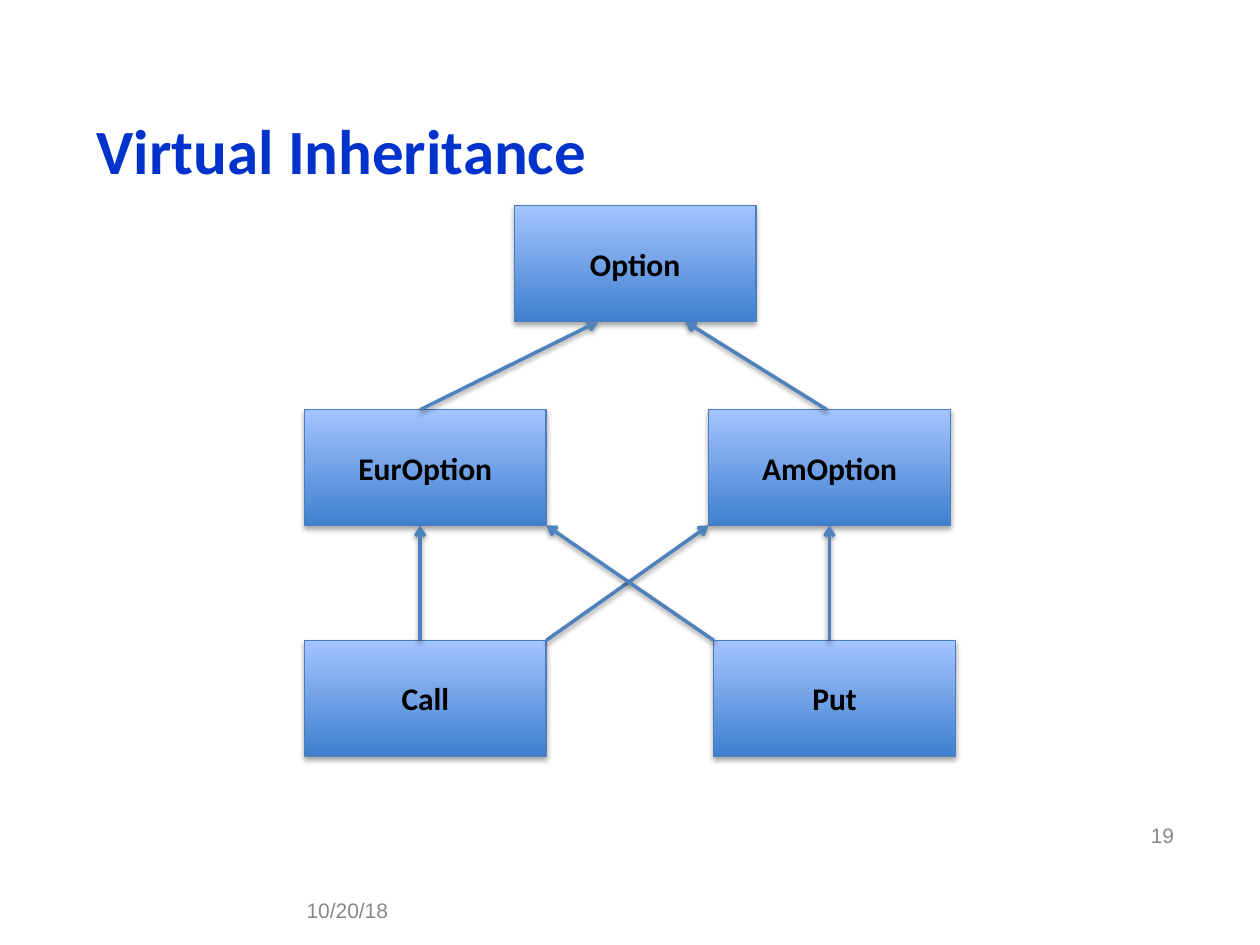
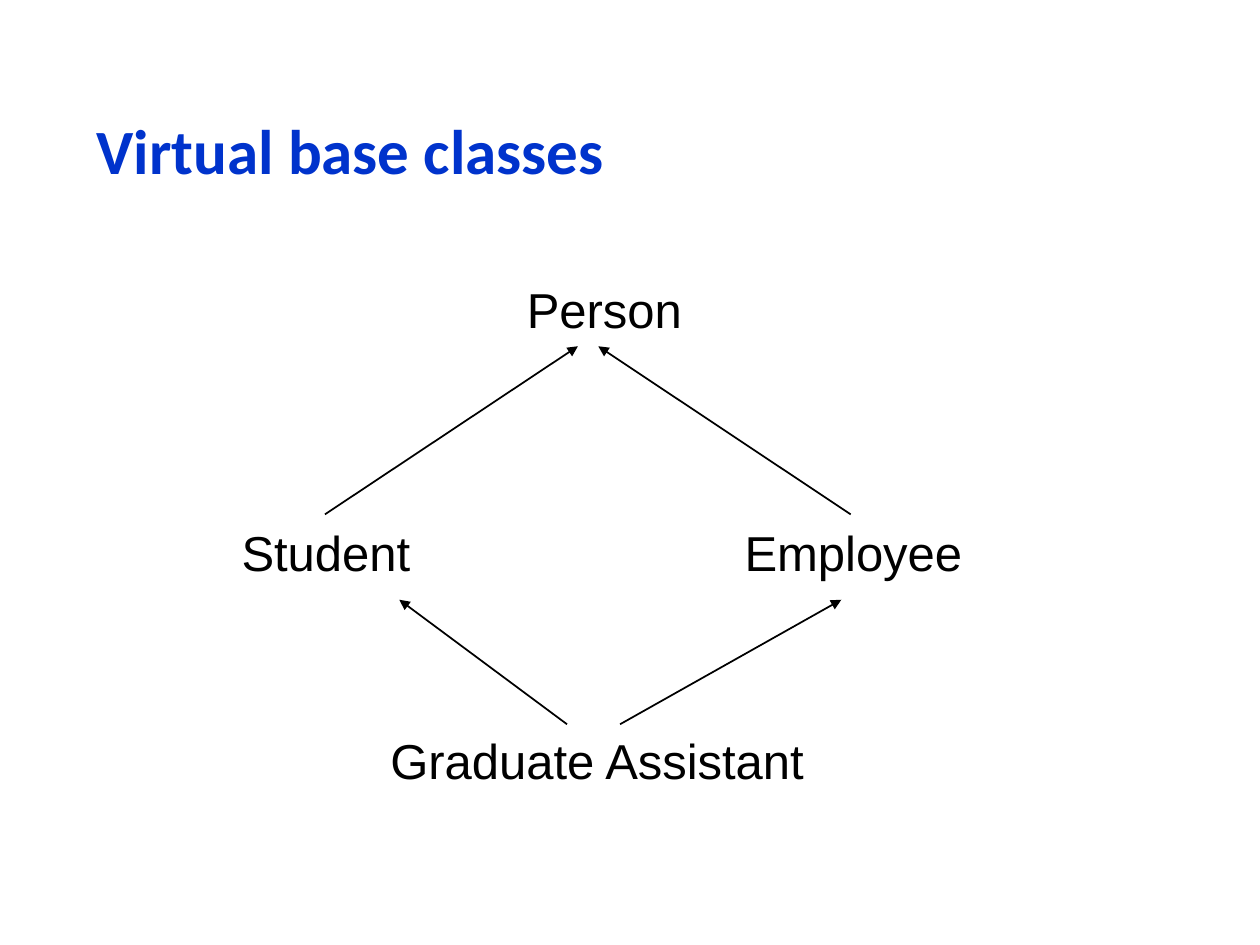
from lxml import etree
from pptx import Presentation
from pptx.dml.color import RGBColor
from pptx.enum import shapes, text
from pptx.oxml.ns import qn
from pptx.util import Cm, Pt

# Shared look
TITLE_BLUE, BLACK, GREY = "0033CC", "000000", "898989"
BOX_DARK, BOX_LIGHT, BOX_EDGE, ARROW_BLUE = "3F80CE", "A4C4FF", "4B7EBC", "4F81BD"
HEADING_FONT, BODY_FONT = "Calibri", "Arial"
BOX_WIDTH, BOX_HEIGHT = 4.87, 2.33
LABEL_HEIGHT = 1.42


def colour(value):
    return RGBColor.from_string(value)


def write(box, words, size, font, ink, bold=False, align=text.PP_ALIGN.LEFT,
          anchor=text.MSO_ANCHOR.MIDDLE, wrap=True):
    frame = box.text_frame
    frame.word_wrap = wrap
    frame.vertical_anchor = anchor
    para = frame.paragraphs[0]
    para.alignment = align
    span = para.add_run()
    span.text = words
    span.font.size = Pt(size)
    span.font.name = font
    span.font.bold = bold
    span.font.color.rgb = colour(ink)


def add_text(page, words, left, top, width, height, **style):
    box = page.shapes.add_textbox(Cm(left), Cm(top), Cm(width), Cm(height))
    write(box, words, **style)
    return box


def add_title(page, words):
    add_text(page, words, 1.7, 1.9, 22.02, 2.24, size=36, font=HEADING_FONT,
             ink=TITLE_BLUE, bold=True)


def add_shadow(effects, distance, opacity):
    """Put a soft shadow, falling straight down, in an effect list."""
    shadow = etree.SubElement(effects, qn("a:outerShdw"), blurRad=str(Pt(3.1)),
                              dist=str(Pt(distance)), dir="5400000", rotWithShape="0")
    ink = etree.SubElement(shadow, qn("a:srgbClr"), val=BLACK)
    etree.SubElement(ink, qn("a:alpha"), val=str(opacity * 1000))


def add_class_box(page, name, left, top):
    box = page.shapes.add_shape(shapes.MSO_SHAPE.RECTANGLE, Cm(left), Cm(top),
                                Cm(BOX_WIDTH), Cm(BOX_HEIGHT))
    box.fill.gradient()
    box.fill.gradient_angle = 90
    for stop, shade, position in zip(box.fill.gradient_stops, (BOX_DARK, BOX_LIGHT), (0, 1)):
        stop.color.rgb = colour(shade)
        stop.position = position
    box.line.color.rgb = colour(BOX_EDGE)
    box.line.width = Pt(0.75)
    box.shadow.inherit = False
    add_shadow(box._element.spPr.find(qn("a:effectLst")), 1.8, 35)
    write(box, name, size=18, font=HEADING_FONT, ink=BLACK, bold=True,
          align=text.PP_ALIGN.CENTER)


def add_label(page, name, left, top, width):
    box = add_text(page, name, left, top, width, LABEL_HEIGHT, size=28, font=BODY_FONT,
                   ink=BLACK, anchor=text.MSO_ANCHOR.TOP, wrap=False)
    box.text_frame.auto_size = text.MSO_AUTO_SIZE.SHAPE_TO_FIT_TEXT


def add_arrow(page, start, end, ink, width, head, shadow=False):
    """Draw an arrow from a derived class to its base class."""
    arrow = page.shapes.add_connector(shapes.MSO_CONNECTOR.STRAIGHT,
                                      *(Cm(value) for value in start + end))
    arrow.line.color.rgb = colour(ink)
    arrow.line.width = Pt(width)
    properties = arrow._element.spPr
    etree.SubElement(properties.find(qn("a:ln")), qn("a:tailEnd"), type=head)
    effects = etree.SubElement(properties, qn("a:effectLst"))
    if shadow:
        add_shadow(effects, 1.6, 38)


def build_options(page):
    add_title(page, "Virtual Inheritance")

    # Date and page number
    small = dict(size=12, font=BODY_FONT, ink=GREY)
    add_text(page, "10/20/18", 5.93, 17.83, 2.96, 1.02, **small)
    add_text(page, "19", 17.99, 16.33, 5.93, 1.02, align=text.PP_ALIGN.RIGHT, **small)

    # Three levels of classes
    top_row, middle_row, bottom_row = 4.15, 8.26, 12.91
    left, right, put_left = 6.14, 14.29, 14.39
    for name, x, y in (("Option", 10.37, top_row),
                       ("EurOption", left, middle_row), ("AmOption", right, middle_row),
                       ("Call", left, bottom_row), ("Put", put_left, bottom_row)):
        add_class_box(page, name, x, y)

    # Arrows between the levels
    top_edge, middle_edge = top_row + BOX_HEIGHT, middle_row + BOX_HEIGHT
    inner = left + BOX_WIDTH
    for start, end in (((8.47, middle_row), (12.06, top_edge)),
                       ((16.67, middle_row), (13.81, top_edge)),
                       ((8.47, bottom_row), (8.47, middle_edge)),
                       ((16.72, bottom_row), (16.72, middle_edge)),
                       ((inner, bottom_row), (right, middle_edge)),
                       ((put_left, bottom_row), (inner, middle_edge))):
        add_arrow(page, start, end, ARROW_BLUE, 2, "arrow", shadow=True)


def build_people(page):
    add_title(page, "Virtual base classes")

    # Class names
    for name, left, top, width in (("Person", 10.37, 5.51, 3.63),
                                   ("Student", 4.62, 10.41, 3.91),
                                   ("Employee", 14.76, 10.41, 4.95),
                                   ("Graduate Assistant", 7.62, 14.6, 8.92)):
        add_label(page, name, left, top, width)

    # Arrows of the diamond
    for start, end in (((6.55, 10.37), (11.65, 6.98)), ((17.15, 10.37), (12.06, 6.98)),
                       ((11.43, 14.6), (8.05, 12.09)), ((12.5, 14.6), (16.96, 12.09))):
        add_arrow(page, start, end, BLACK, 1, "triangle")


def main():
    deck = Presentation()
    deck.slide_width, deck.slide_height = Cm(25.4), Cm(19.05)
    blank = deck.slide_layouts[6]
    for build in (build_options, build_people):
        build(deck.slides.add_slide(blank))
    deck.save("out.pptx")


main()
